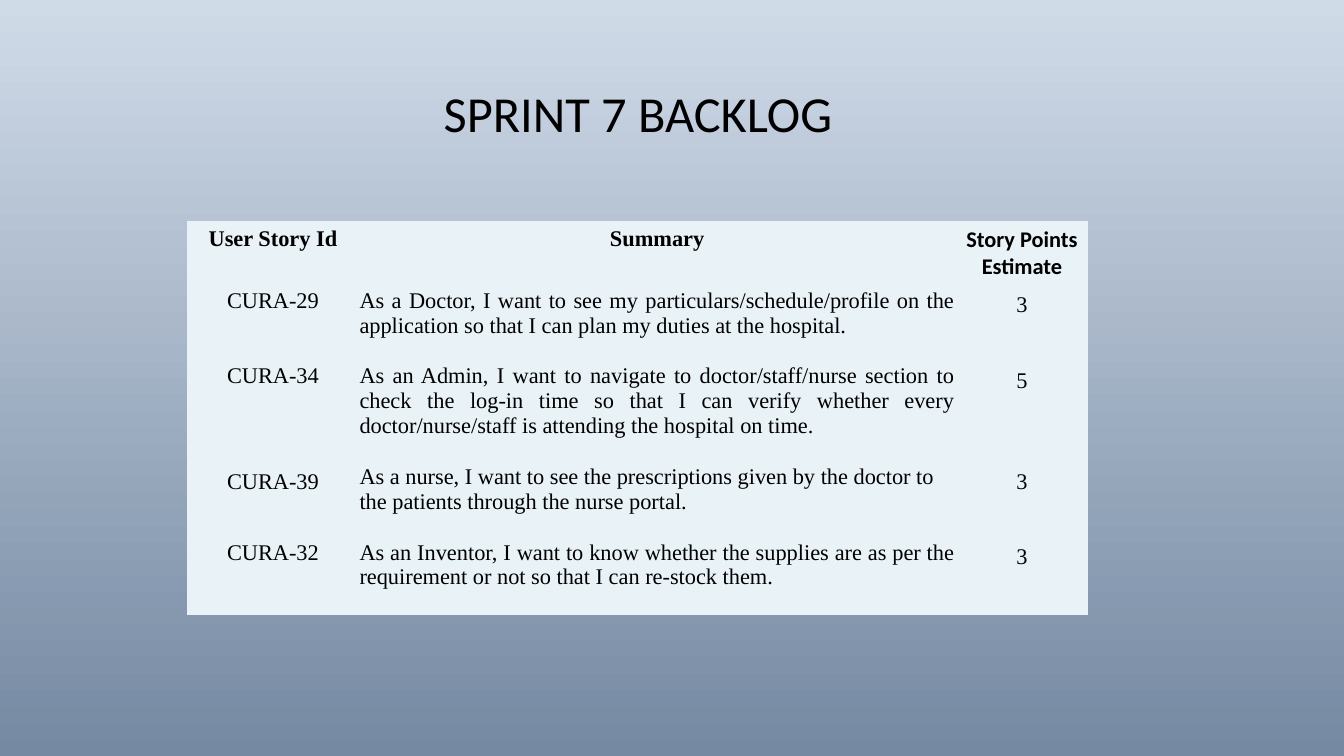
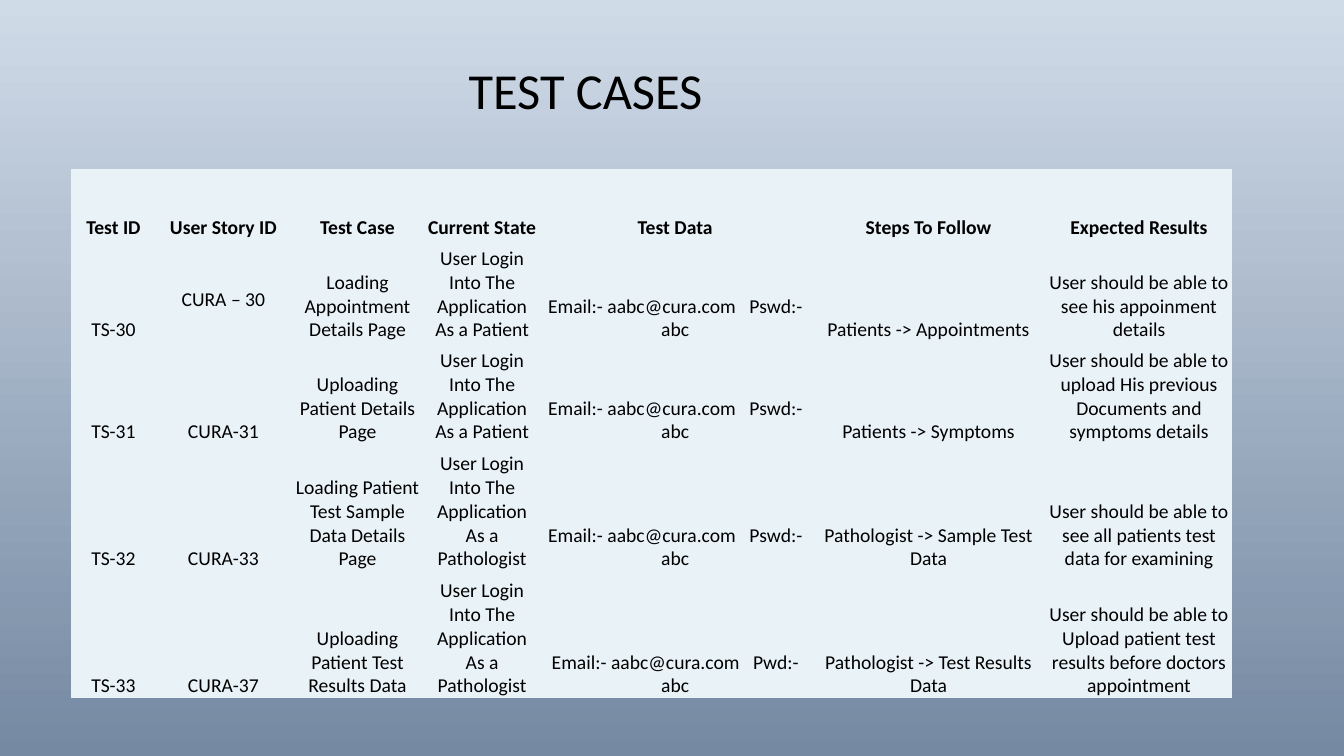
from dataclasses import dataclass

from pptx import Presentation
from pptx import util as u
from pptx.dml.color import RGBColor
from pptx.enum import text


@dataclass(frozen=True)
class Theme:
    sky: RGBColor = RGBColor.from_string("D0DBE8")
    slate: RGBColor = RGBColor.from_string("7589A2")
    cell: RGBColor = RGBColor.from_string("E9F2F7")
    ink: RGBColor = RGBColor.from_string("000000")
    sans: str = "Calibri"
    serif: str = "Times New Roman"
    title_size: int = 36
    backlog_size: int = 16
    tests_size: int = 14


theme = Theme()
NO_STYLE_NO_GRID = "{2D5ABB26-0587-4C30-8999-92F81FD0307C}"
GAP = "|"  # stands for a widened space in a cell text
TIGHT = {"margin_left": u.Cm(0.02), "margin_right": u.Cm(0.02),
         "margin_top": u.Cm(0.02), "margin_bottom": u.Cm(0)}
ROOMY = {"margin_left": u.Cm(0.25), "margin_right": u.Cm(0.25),
         "margin_top": u.Cm(0.13), "margin_bottom": u.Cm(0.13)}


def write_paragraph(paragraph, words, alignment, font, size, bold=False):
    """Write words in one style; each GAP becomes a wide space."""
    paragraph.alignment = alignment
    for index, part in enumerate(words.split(GAP)):
        pieces = [part] if index == 0 else [" ", part]
        for piece in pieces:
            run = paragraph.add_run()
            run.text = piece
            style = {"name": font, "size": u.Pt(size), "bold": bold}
            for name, value in style.items():
                setattr(run.font, name, value)
            run.font.color.rgb = theme.ink
            if piece == " ":
                run.font._element.set("spc", "630")


def add_table(slide, left, top, widths, heights, rows, font, size):
    """Add a plain, evenly filled table with a bold first row."""
    frame = slide.shapes.add_table(
        len(rows), len(widths), u.Cm(left), u.Cm(top),
        u.Cm(sum(widths)), u.Cm(sum(heights)))
    table = frame.table
    table.first_row = table.horz_banding = False
    table._tbl.tblPr[0].text = NO_STYLE_NO_GRID
    for column, width in zip(table.columns, widths):
        column.width = u.Cm(width)
    for row, height in zip(table.rows, heights):
        row.height = u.Cm(height)
    for row_index, row in enumerate(rows):
        for column_index, words in enumerate(row):
            cell = table.cell(row_index, column_index)
            cell.fill.solid()
            cell.fill.fore_color.rgb = theme.cell
            for name, value in TIGHT.items():
                setattr(cell, name, value)
            for index, line in enumerate(words.split("\n")):
                paragraphs = cell.text_frame.paragraphs
                paragraph = paragraphs[0] if index == 0 else cell.text_frame.add_paragraph()
                write_paragraph(paragraph, line, text.PP_ALIGN.CENTER,
                                font, size, bold=row_index == 0)
    return table


presentation = Presentation()
presentation.slide_width = u.Cm(33.87)
presentation.slide_height = u.Cm(19.05)

background = presentation.slide_master.background.fill
background.gradient()
background.gradient_angle = 270
for stop, colour in zip(background.gradient_stops, (theme.sky, theme.slate)):
    stop.color.rgb = colour

titles = [
    ("SPRINT 7 BACKLOG", (2.26, 1.73, 27.64, 2.41)),
    ("TEST CASES", (0.66, 1.12, 28.19, 2.44)),
]
slides = []
for title, place in titles:
    slide = presentation.slides.add_slide(presentation.slide_layouts[6])
    title_frame = slide.shapes.add_textbox(*map(u.Cm, place)).text_frame
    title_frame.word_wrap = True
    title_frame.vertical_anchor = text.MSO_ANCHOR.MIDDLE
    title_frame.paragraphs[0].line_spacing = 0.9
    write_paragraph(title_frame.paragraphs[0], title, text.PP_ALIGN.CENTER,
                    theme.sans, theme.title_size)
    slides.append(slide)
backlog_slide, tests_slide = slides

# Sprint backlog
stories = [
    ("User Story Id", "Summary", "Story Points\nEstimate"),
    ("CURA-29", "As a Doctor, I want to see my particulars/schedule/profile on the "
     "application so that I can plan my duties at the hospital.", "3"),
    ("CURA-34", "As an Admin, I want to navigate to doctor/staff/nurse section to check "
     "the log-in time so that I can verify whether every doctor/nurse/staff is "
     "attending the hospital on time.", "5"),
    ("CURA-39", "As a nurse, I want to see the prescriptions given by the doctor to the "
     "patients through the nurse portal.", "3"),
    ("CURA-32", "As an Inventor, I want to know whether the supplies are as per the "
     "requirement or not so that I can re-stock them.", "3"),
]
backlog = add_table(backlog_slide, 4.72, 5.57, (4.32, 15.04, 3.35),
                    (1.68, 1.9, 2.54, 1.9, 1.9), stories,
                    theme.serif, theme.backlog_size)

roomy_cells = [backlog.cell(0, column) for column in range(3)]
roomy_cells += [backlog.cell(row, 2) for row in range(1, len(stories))]
roomy_cells.append(backlog.cell(3, 0))
for cell in roomy_cells:
    for name, value in ROOMY.items():
        setattr(cell, name, value)

summary_alignments = {1: text.PP_ALIGN.JUSTIFY, 2: text.PP_ALIGN.JUSTIFY,
                      3: text.PP_ALIGN.LEFT, 4: text.PP_ALIGN.JUSTIFY}
for row, alignment in summary_alignments.items():
    backlog.cell(row, 1).text_frame.paragraphs[0].alignment = alignment
for paragraph in backlog.cell(0, 2).text_frame.paragraphs:
    paragraph.runs[0].font.name = theme.sans

# Test cases
patient_login = "User Login Into The Application As a Patient"
pathologist_login = "User Login Into The Application As a Pathologist"
credentials = f"Email:- aabc@cura.com{GAP}Pswd:- abc"
test_cases = [
    ("Test ID", "User Story ID", "Test Case", "Current State", "Test Data",
     "Steps To Follow", "Expected Results"),
    ("TS-30", "CURA – 30", "Loading Appointment Details Page", patient_login,
     credentials, "Patients -> Appointments",
     "User should be able to see his appoinment details"),
    ("TS-31", "CURA-31", "Uploading Patient Details Page", patient_login,
     credentials, "Patients -> Symptoms",
     "User should be able to upload His previous Documents and symptoms details"),
    ("TS-32", "CURA-33", "Loading Patient Test Sample Data Details Page",
     pathologist_login, credentials, "Pathologist -> Sample Test Data",
     "User should be able to see all patients test data for examining"),
    ("TS-33", "CURA-37", "Uploading Patient Test Results Data",
     pathologist_login, credentials.replace("Pswd", "Pwd"),
     "Pathologist -> Test Results Data",
     "User should be able to Upload patient test results before doctors appointment"),
]
tests = add_table(tests_slide, 1.78, 4.27, (2.16, 3.38, 3.38, 2.9, 6.83, 5.94, 4.67),
                  (1.78, 2.57, 2.57, 3.2, 3.2), test_cases,
                  theme.sans, theme.tests_size)
for cell in tests.iter_cells():
    cell.vertical_anchor = text.MSO_ANCHOR.BOTTOM
first_story = tests.cell(1, 1)
first_story.vertical_anchor = text.MSO_ANCHOR.TOP
first_story.margin_top = u.Cm(1.2)

presentation.save("out.pptx")
